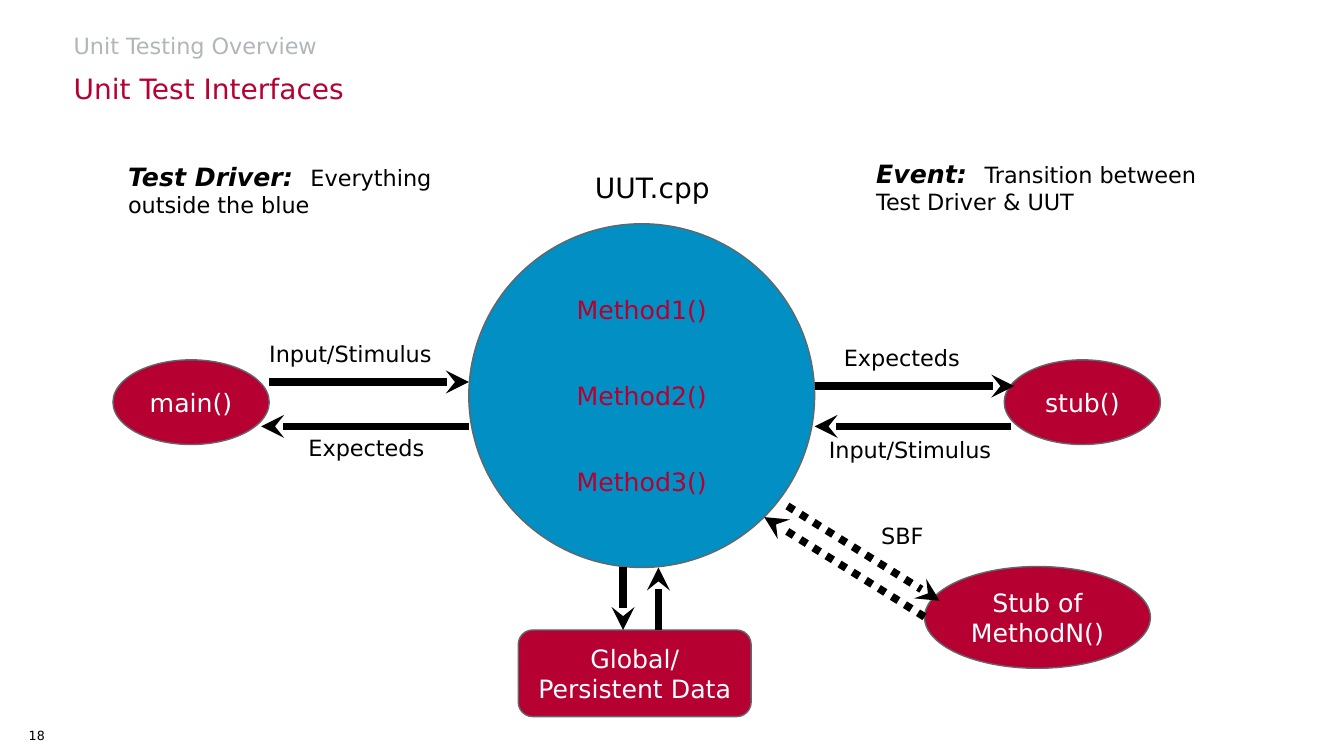
from lxml import etree
from pptx import Presentation
from pptx.dml.color import RGBColor
from pptx.enum.dml import MSO_LINE
from pptx.enum.shapes import MSO_CONNECTOR, MSO_SHAPE
from pptx.enum.text import MSO_ANCHOR, MSO_AUTO_SIZE, PP_ALIGN
from pptx.oxml.ns import qn
from pptx.util import Pt

PX = 9144
FONT = "DejaVu Sans"
RED, BLUE, GRAY, OUTLINE = "B70032", "028FC3", "B1B6BA", "626769"
BLACK, WHITE = "000000", "FFFFFF"
OVAL, ROUNDED = MSO_SHAPE.OVAL, MSO_SHAPE.ROUNDED_RECTANGLE
STRAIGHT, DOTTED = MSO_CONNECTOR.STRAIGHT, MSO_LINE.ROUND_DOT
LEFT, CENTER = PP_ALIGN.LEFT, PP_ALIGN.CENTER
TOP, MIDDLE, BOTTOM = MSO_ANCHOR.TOP, MSO_ANCHOR.MIDDLE, MSO_ANCHOR.BOTTOM
NO_FIT = MSO_AUTO_SIZE.NONE


def color(value):
    return RGBColor.from_string(value)


def write(box, paragraphs, tint, anchor, align, inset=0, gap=0):
    frame = box.text_frame
    settings = {
        "word_wrap": True, "auto_size": NO_FIT, "vertical_anchor": anchor,
        "margin_left": inset * PX, "margin_right": inset * PX,
        "margin_top": inset * PX // 2, "margin_bottom": inset * PX // 2,
    }
    for name, value in settings.items():
        setattr(frame, name, value)
    for index, spans in enumerate(paragraphs):
        para = frame.add_paragraph() if index else frame.paragraphs[0]
        para.alignment = align
        para.space_before = Pt(gap if index else 0)
        for text, size, strong in spans:
            span = para.add_run()
            span.text = text
            look = {"name": FONT, "size": Pt(size), "bold": strong, "italic": strong}
            for name, value in look.items():
                setattr(span.font, name, value)
            span.font.color.rgb = color(tint)


deck = Presentation()
deck.slide_width, deck.slide_height = 1333 * PX, 750 * PX
page = deck.slides.add_slide(deck.slide_layouts[1])

headings = [
    (page.shapes.title, (73, 28, 978, 31), "Unit Testing Overview", 16, GRAY),
    (page.placeholders[1], (73, 69, 978, 35), "Unit Test Interfaces", 20, RED),
]
for holder, at, text, size, tint in headings:
    holder.left, holder.top, holder.width, holder.height = [n * PX for n in at]
    properties = holder.text_frame.paragraphs[0]._p.get_or_add_pPr()
    properties.set("marL", "0")
    properties.set("indent", "0")
    etree.SubElement(properties, qn("a:buNone"))
    write(holder, [[(text, size, False)]], tint, BOTTOM, LEFT)
page.shapes.title.text_frame.paragraphs[0].line_spacing = 0.9

nodes = [
    (OVAL, (465, 222, 343, 341), BLUE, RED, ["Method1()", "Method2()", "Method3()"]),
    (OVAL, (112, 357, 155, 84), RED, WHITE, ["main()"]),
    (OVAL, (996, 357, 155, 84), RED, WHITE, ["stub()"]),
    (ROUNDED, (514, 625, 231, 86), RED, WHITE, ["Global/ Persistent Data"]),
    (OVAL, (917, 562, 224, 101), RED, WHITE, ["Stub of MethodN()"]),
]
for kind, at, fill, tint, lines in nodes:
    node = page.shapes.add_shape(kind, *[n * PX for n in at])
    node.shadow.inherit = False
    node.fill.solid()
    node.fill.fore_color.rgb = color(fill)
    node.line.color.rgb = color(OUTLINE)
    node.line.width = Pt(1)
    paragraphs = [[(line, 18, False)] for line in lines]
    write(node, paragraphs, tint, MIDDLE, CENTER, inset=10, gap=40)

arrows = [
    ((267, 379, 465, 379), None),
    ((465, 423, 259, 423), None),
    ((808, 383, 1006, 383), None),
    ((1003, 423, 808, 423), None),
    ((618, 563, 618, 625), None),
    ((653, 625, 653, 563), None),
    ((781, 502, 932, 596), DOTTED),
    ((917, 612, 758, 513), DOTTED),
]
for ends, dash in arrows:
    arrow = page.shapes.add_connector(STRAIGHT, *[n * PX for n in ends])
    arrow.line.color.rgb = color(BLACK)
    arrow.line.width = Pt(5.5)
    if dash:
        arrow.line.dash_style = dash
    etree.SubElement(arrow.line._get_or_add_ln(), qn("a:tailEnd"), type="stealth")
    etree.SubElement(arrow._element.spPr, qn("a:effectLst"))

labels = [
    ((267, 337, 198, 26), [("Input/Stimulus", 16, False)]),
    ((306, 431, 124, 26), [("Expecteds", 16, False)]),
    ((822, 433, 198, 26), [("Input/Stimulus", 16, False)]),
    ((837, 341, 124, 26), [("Expecteds", 16, False)]),
    ((590, 169, 155, 54), [("UUT.cpp", 20, False)]),
    ((874, 518, 155, 54), [("SBF", 16, False)]),
    ((869, 157, 322, 51),
     [("Event:  ", 18, True), ("Transition between Test Driver & UUT", 16, False)]),
    ((127, 160, 322, 63),
     [("Test Driver:  ", 18, True), ("Everything outside the blue", 16, False)]),
]
for at, spans in labels:
    label = page.shapes.add_textbox(*[n * PX for n in at])
    write(label, [spans], BLACK, TOP, LEFT)

number = page.shapes.add_textbox(0, 709 * PX, 73 * PX, 41 * PX)
write(number, [[("18", 9, False)]], BLACK, MIDDLE, CENTER)

deck.save("out.pptx")
